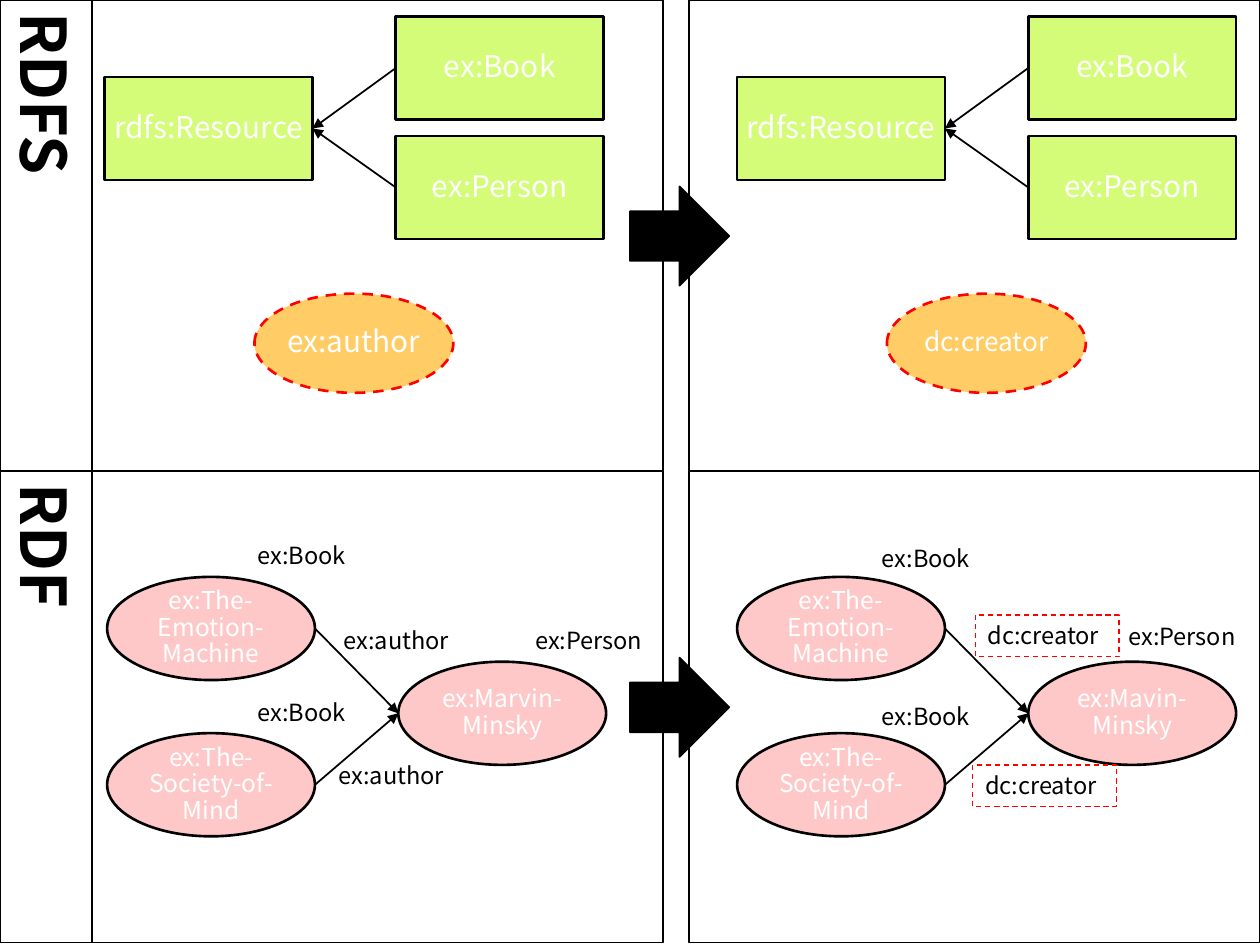
from dataclasses import dataclass

import pptx
import pptx.dml.color
import pptx.enum.dml
import pptx.enum.shapes
import pptx.enum.text
import pptx.oxml
import pptx.oxml.ns
import pptx.util
from pptx.util import Cm

SHAPE = pptx.enum.shapes.MSO_SHAPE
ALIGN = pptx.enum.text.PP_ALIGN
ANCHOR = pptx.enum.text.MSO_ANCHOR


@dataclass(frozen=True)
class Theme:
    font: str = "Noto Sans CJK JP"
    black: str = "000000"
    white: str = "FFFFFF"
    red: str = "FF0000"
    class_fill: str = "D5FC79"
    property_fill: str = "FFCC66"
    instance_fill: str = "FFC8C8"
    heading: float = 36
    schema: float = 17
    schema_small: float = 15
    instance: float = 14
    label: float = 13.5
    thin: float = 0.75
    normal: float = 1
    thick: float = 1.5


THEME = Theme()

# Lengths in centimetres
HEADING_W, PANEL_W, ROW_H = 1.85, 11.51, 9.5
RIGHT_PANEL = 25.4 - PANEL_W
NODE_W, NODE_H = 4.19, 2.08
NODE_STEP = 5.87
ARROW = 2.0
LABEL_H = 0.84


def rgb(value):
    return pptx.dml.color.RGBColor.from_string(value)


def style_line(line, color, width, dashed=False):
    line.color.rgb = rgb(color)
    line.width = pptx.util.Pt(width)
    if dashed:
        line.dash_style = pptx.enum.dml.MSO_LINE.DASH


def add_box(slide, kind, x, y, w, h, fill, line=THEME.black, width=THEME.normal, dashed=False):
    sp = slide.shapes.add_shape(kind, Cm(x), Cm(y), Cm(w), Cm(h))
    sp.shadow.inherit = False
    if fill:
        sp.fill.solid()
        sp.fill.fore_color.rgb = rgb(fill)
    else:
        sp.fill.background()
    style_line(sp.line, line, width, dashed)
    return sp


def set_text(sp, text, size, color, align=ALIGN.CENTER, bold=False):
    tf = sp.text_frame
    tf.text = text
    p = tf.paragraphs[0]
    p.alignment = align
    font = p.runs[0].font
    font.name = THEME.font
    font.size = pptx.util.Pt(size)
    font.bold = bold
    font.color.rgb = rgb(color)
    return tf


def add_node(slide, kind, x, y, text, fill, size, w=NODE_W, h=NODE_H, line=THEME.black, dashed=False):
    sp = add_box(slide, kind, x, y, w, h, fill, line, THEME.thick, dashed)
    tf = set_text(sp, text, size, THEME.white)
    tf.word_wrap = True
    tf.vertical_anchor = ANCHOR.MIDDLE
    tf.margin_left = tf.margin_right = tf.margin_top = tf.margin_bottom = Cm(0.03)
    tf.paragraphs[0].line_spacing = 0.9


def add_arrow_line(slide, x1, y1, x2, y2):
    cxn = slide.shapes.add_connector(
        pptx.enum.shapes.MSO_CONNECTOR.STRAIGHT, Cm(x1), Cm(y1), Cm(x2), Cm(y2))
    style_line(cxn.line, THEME.black, THEME.normal)
    ln = cxn.line._get_or_add_ln()
    ln.append(pptx.oxml.parse_xml(
        f'<a:tailEnd {pptx.oxml.ns.nsdecls("a")} type="triangle"/>'))
    cxn._element.spPr.append(pptx.oxml.parse_xml(
        f'<a:effectLst {pptx.oxml.ns.nsdecls("a")}/>'))


def add_label(slide, x, y, w, text, framed=False):
    if framed:
        sp = add_box(slide, SHAPE.RECTANGLE, x, y, w, LABEL_H, None,
                     THEME.red, THEME.thin, dashed=True)
    else:
        sp = slide.shapes.add_textbox(Cm(x), Cm(y), Cm(w), Cm(LABEL_H))
    tf = set_text(sp, text, THEME.label, THEME.black, ALIGN.LEFT)
    tf.word_wrap = False
    tf.auto_size = pptx.enum.text.MSO_AUTO_SIZE.SHAPE_TO_FIT_TEXT
    tf.vertical_anchor = ANCHOR.TOP


def add_row(slide, top, heading):
    """Heading cell, before and after panels, and the block arrow between them."""
    for x in (HEADING_W, RIGHT_PANEL):
        add_box(slide, SHAPE.RECTANGLE, x, top, PANEL_W, ROW_H, THEME.white)
    sp = add_box(slide, SHAPE.RECTANGLE, 0, top, HEADING_W, ROW_H, THEME.white)
    tf = set_text(sp, heading, THEME.heading, THEME.black, bold=True)
    tf.vertical_anchor = ANCHOR.MIDDLE
    tf._txBody.bodyPr.set("vert", "eaVert")
    add_box(slide, SHAPE.RIGHT_ARROW, 12.7, top + 3.76, ARROW, ARROW, THEME.black)


def add_schema(slide, x, property_name, property_size):
    """Class hierarchy with one property below it."""
    root_y = 1.55
    add_node(slide, SHAPE.RECTANGLE, x, root_y, "rdfs:Resource", THEME.class_fill, THEME.schema)
    for y, name in ((0.33, "ex:Book"), (2.74, "ex:Person")):
        add_node(slide, SHAPE.RECTANGLE, x + NODE_STEP, y, name, THEME.class_fill, THEME.schema)
        add_arrow_line(slide, x + NODE_STEP, y + NODE_H / 2, x + NODE_W, root_y + NODE_H / 2)
    add_node(slide, SHAPE.OVAL, x + 3.02, 5.92, property_name, THEME.property_fill,
             property_size, w=4.01, h=2.0, line=THEME.red, dashed=True)


def add_instances(slide, x, person):
    """Two books pointing at their author."""
    person_y = 13.34
    add_node(slide, SHAPE.OVAL, x + NODE_STEP, person_y, person,
             THEME.instance_fill, THEME.instance)
    for y, book in ((11.63, "ex:The-Emotion-Machine"), (14.78, "ex:The-Society-of-Mind")):
        add_node(slide, SHAPE.OVAL, x, y, book, THEME.instance_fill, THEME.instance)
        add_arrow_line(slide, x + NODE_W, y + NODE_H / 2,
                       x + NODE_STEP, person_y + NODE_H / 2)


def main():
    prs = pptx.Presentation()
    prs.slide_width, prs.slide_height = Cm(25.4), Cm(19.05)
    slide = prs.slides.add_slide(prs.slide_layouts[6])

    for i, heading in enumerate(("RDFS", "RDF")):
        add_row(slide, i * ROW_H, heading)

    add_schema(slide, 2.11, "ex:author", THEME.schema)
    add_schema(slide, 14.86, "dc:creator", THEME.schema_small)
    add_instances(slide, 2.16, "ex:Marvin-Minsky")
    add_instances(slide, 14.86, "ex:Mavin-Minsky")

    for x, y, w, text in (
        (4.95, 10.77, 2.34, "ex:Book"),
        (4.95, 13.94, 2.34, "ex:Book"),
        (6.68, 12.5, 2.67, "ex:author"),
        (6.58, 15.21, 2.67, "ex:author"),
        (10.54, 12.5, 2.77, "ex:Person"),
        (17.53, 10.85, 2.34, "ex:Book"),
        (17.53, 14.02, 2.34, "ex:Book"),
        (22.5, 12.42, 2.77, "ex:Person"),
    ):
        add_label(slide, x, y, w, text)
    for x, y in ((19.66, 12.4), (19.61, 15.42)):
        add_label(slide, x, y, 2.9, "dc:creator", framed=True)

    prs.save("out.pptx")


if __name__ == "__main__":
    main()
